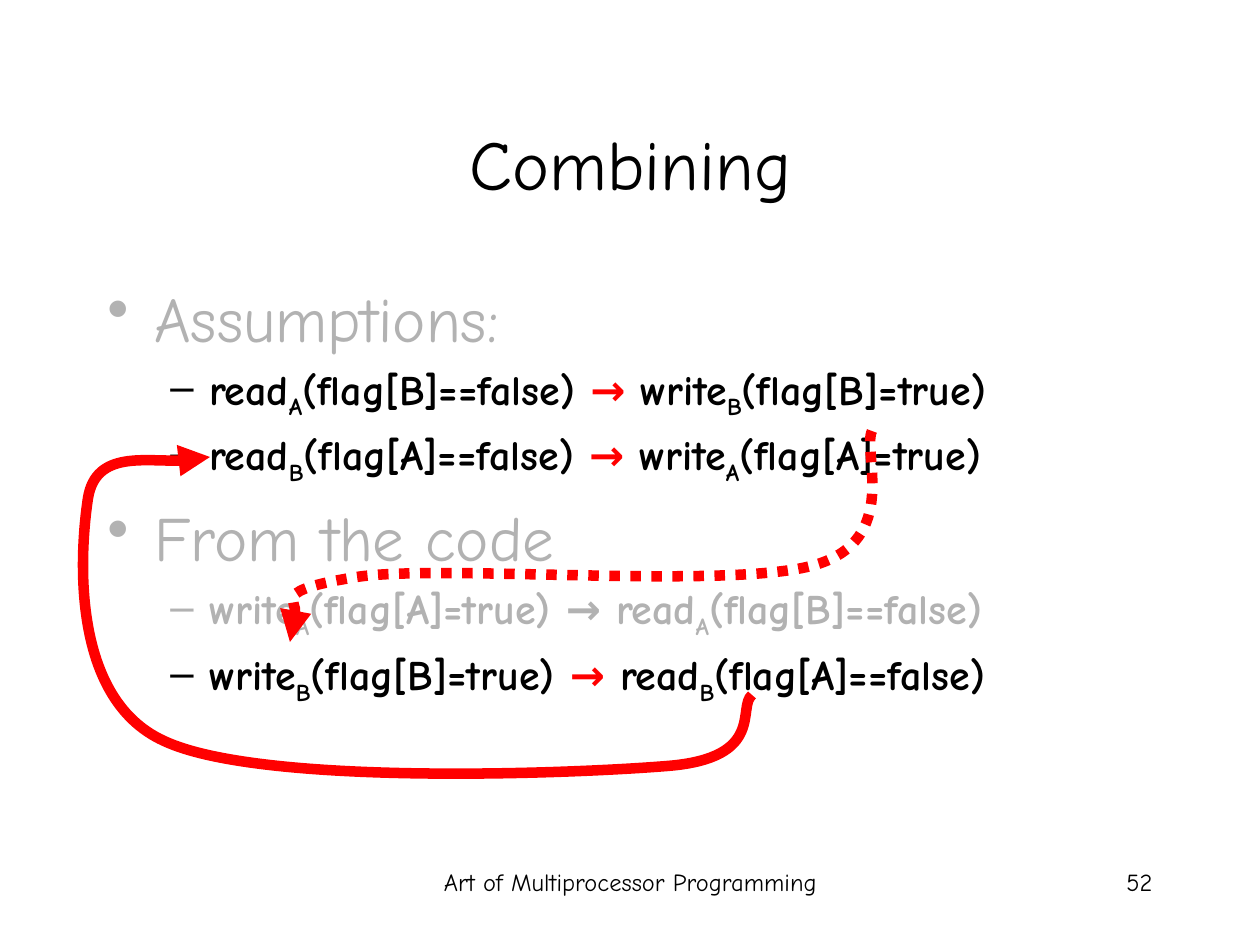
from pptx import Presentation
from pptx.dml.color import RGBColor
from pptx.enum.dml import MSO_LINE
from pptx.enum.text import MSO_ANCHOR, PP_ALIGN
from pptx.oxml.xmlchemy import OxmlElement
from pptx.util import Emu, Pt

PX = 914400 / 126
BLACK, GREY, RED = "000000", "B2B2B2", "FF0000"


def add_span(para, text, size, colour=BLACK, bold=False, subscript=False):
    span = para.add_run()
    span.text = text
    span.font.name = "Comic Neue"
    span.font.size = Pt(size)
    span.font.bold = bold
    span.font.color.rgb = RGBColor.from_string(colour)
    if subscript:
        span.font._element.set("baseline", "-25000")


def add_box(left, top, width, height, align=PP_ALIGN.LEFT, anchor=MSO_ANCHOR.TOP):
    box = page.shapes.add_textbox(*(Emu(round(n * PX)) for n in (left, top, width, height)))
    box.text_frame.word_wrap = True
    box.text_frame.vertical_anchor = anchor
    box.text_frame.paragraphs[0].alignment = align
    return box.text_frame


deck = Presentation()
deck.slide_width = Emu(round(1260 * PX))
deck.slide_height = Emu(round(945 * PX))
page = deck.slides.add_slide(deck.slide_layouts[6])

footer = add_box(431, 861, 399, 63, PP_ALIGN.CENTER)
add_span(footer.paragraphs[0], "Art of Multiprocessor Programming", 14)
number = add_box(903, 861, 262, 63, PP_ALIGN.RIGHT)
add_span(number.paragraphs[0], "52", 14)

outline = [
    (0, "Assumptions:", GREY, GREY),
    (1, "read_A(flag[B]==false) → write_B(flag[B]=true)", BLACK, RED),
    (1, "read_B(flag[A]==false) → write_A(flag[A]=true)", BLACK, RED),
    (0, "From the code", GREY, GREY),
    (1, "write_A(flag[A]=true) → read_A(flag[B]==false)", GREY, GREY),
    (1, "write_B(flag[B]=true) → read_B(flag[A]==false)", BLACK, RED),
]
levels = [(36, "•", 47, 47), (24, "–", 102, 39)]
body = add_box(95, 273, 1071, 567)
for index, (level, text, colour, arrow_colour) in enumerate(outline):
    size, bullet, margin, hanging = levels[level]
    para = body.add_paragraph() if index else body.paragraphs[0]
    para.level = level
    if index:
        para.space_before = Pt(size * 0.2)
    properties = para._p.get_or_add_pPr()
    properties.set("marL", str(round(margin * PX)))
    properties.set("indent", str(round(-hanging * PX)))
    mark = OxmlElement("a:buChar")
    mark.set("char", bullet)
    properties.append(mark)
    for token in ("_A", "_B", "→"):
        text = text.replace(token, f"|{token}|")
    for part in text.split("|"):
        add_span(para, part.lstrip("_"), size, arrow_colour if part == "→" else colour,
                 bold=level == 1, subscript=part.startswith("_"))

title = add_box(95, 84, 1071, 158, PP_ALIGN.CENTER, MSO_ANCHOR.MIDDLE)
add_span(title.paragraphs[0], "Combining", 40)

arrows = [
    (MSO_LINE.SOLID, [(752, 695), (737, 707), (766, 758), (668, 766), (570, 774), (260, 786),
                      (164, 741), (67, 697), (81, 544), (88, 498), (96, 450), (185, 466), (210, 457)]),
    (MSO_LINE.ROUND_DOT, [(872, 431), (862, 452), (901, 540), (815, 565), (730, 590), (445, 564),
                          (357, 577), (270, 591), (304, 629), (290, 642)]),
]
for dash, points in arrows:
    builder = page.shapes.build_freeform(*points[0], scale=PX)
    builder.add_line_segments(points[1:], close=False)
    arrow = builder.convert_to_shape()
    arrow.shadow.inherit = False
    arrow.fill.background()
    arrow.line.color.rgb = RGBColor.from_string(RED)
    arrow.line.width = Pt(6)
    arrow.line.dash_style = dash
    head = OxmlElement("a:tailEnd")
    head.set("type", "triangle")
    arrow.line._get_or_add_ln().append(head)
    segments = arrow._element.xpath(".//a:lnTo")
    outline_path = segments[0].getparent()
    for start in range(0, len(segments), 3):
        curve = OxmlElement("a:cubicBezTo")
        for segment in segments[start:start + 3]:
            curve.append(segment[0])
            outline_path.remove(segment)
        outline_path.append(curve)

deck.save("out.pptx")
